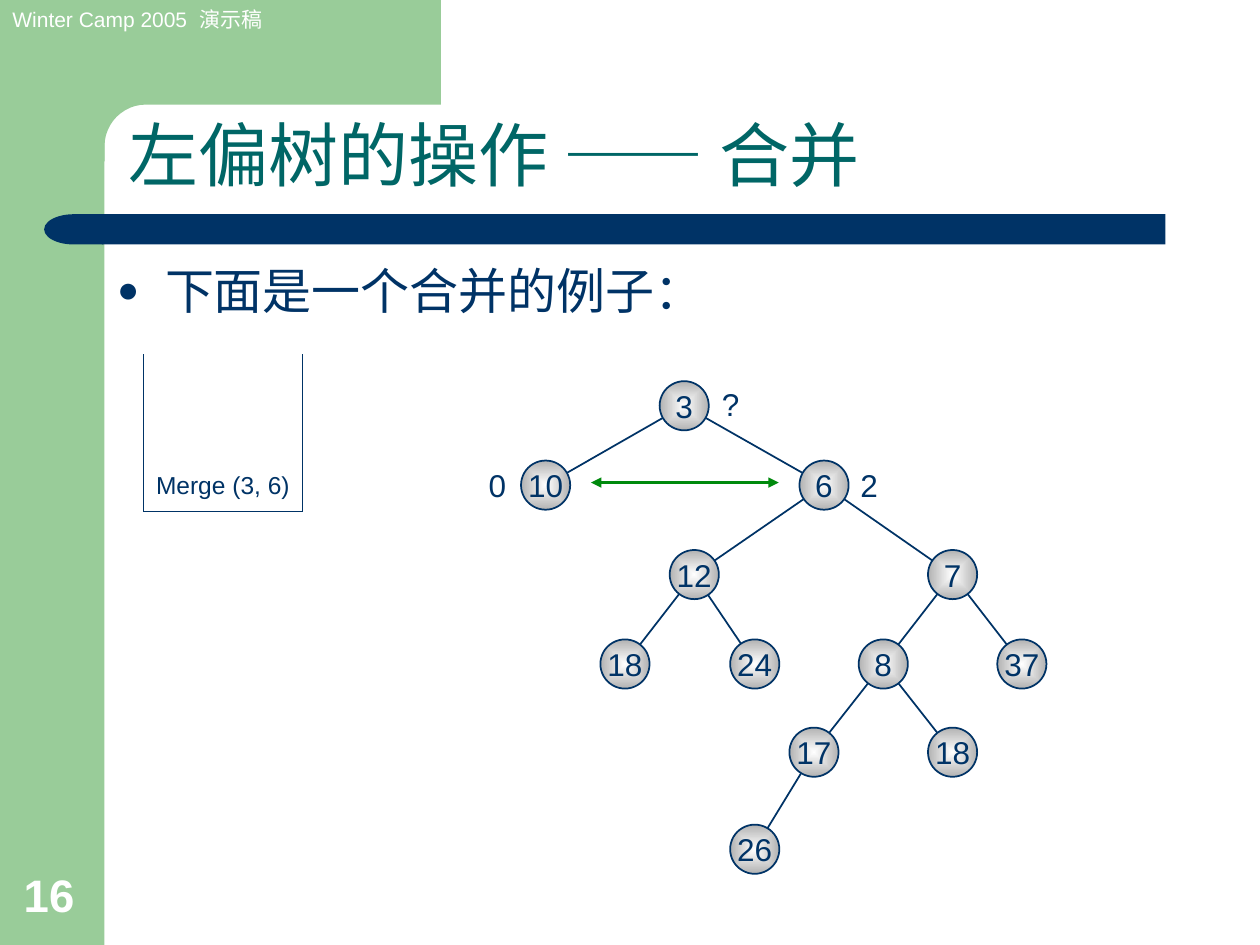
"""Builds the slide that shows a leftist tree merge example."""
from math import cos, pi, sin

from lxml import etree
from pptx import Presentation
from pptx.dml.color import RGBColor
from pptx.enum.shapes import MSO_CONNECTOR, MSO_SHAPE
from pptx.enum.text import MSO_ANCHOR, MSO_AUTO_SIZE, PP_ALIGN
from pptx.oxml import parse_xml
from pptx.oxml.ns import nsdecls, qn
from pptx.util import Inches, Pt

STRAIGHT = MSO_CONNECTOR.STRAIGHT
RECTANGLE, DELAY, OVAL = MSO_SHAPE.RECTANGLE, MSO_SHAPE.FLOWCHART_DELAY, MSO_SHAPE.OVAL
TOP, MIDDLE, BOTTOM = MSO_ANCHOR.TOP, MSO_ANCHOR.MIDDLE, MSO_ANCHOR.BOTTOM
LEFT, CENTER = PP_ALIGN.LEFT, PP_ALIGN.CENTER
NO_FIT = MSO_AUTO_SIZE.NONE

LATIN, CHINESE = "Arial", "Noto Sans CJK SC"
NAVY, TEAL, MINT, GREEN, WHITE, GREY = "003366", "006666", "99CC99", "008A0D", "FFFFFF", "B2B2B2"

TITLE = [("左偏树的操作 ", LATIN), ("——", CHINESE), (" 合并", LATIN)]
BULLET = "下面是一个合并的例子："

LEVELS = [3.22, 3.85, 4.56, 5.27, 5.97, 6.74]
NODES = {
    "root": ("3", 5.43, 0, None),
    "left": ("10", 4.33, 1, "root"),
    "right": ("6", 6.54, 1, "root"),
    "right-left": ("12", 5.51, 2, "right"),
    "right-right": ("7", 7.56, 2, "right"),
    "leaf 18": ("18", 4.96, 3, "right-left"),
    "leaf 24": ("24", 5.99, 3, "right-left"),
    "inner 8": ("8", 7.01, 3, "right-right"),
    "leaf 37": ("37", 8.11, 3, "right-right"),
    "inner 17": ("17", 6.46, 4, "inner 8"),
    "second 18": ("18", 7.56, 4, "inner 8"),
    "leaf 26": ("26", 5.99, 5, "inner 17"),
}
DIAMETER = 0.39

LABELS = [
    ("Winter Camp 2005  演示稿", (0, 0, 2.28, 0.3), 12, WHITE, False, LEFT, TOP),
    ("16", (0.09, 6.83, 0.64, 0.53), 26, WHITE, True, LEFT, BOTTOM),
    ("Merge (3, 6)", (1.14, 2.97, 1.26, 1.04), 14, NAVY, False, LEFT, BOTTOM),
    ("0", (3.78, 3.65, 0.32, 0.4), 18, NAVY, False, CENTER, TOP),
    ("2", (6.73, 3.65, 0.32, 0.4), 18, NAVY, False, CENTER, TOP),
    ("?", (5.63, 3.01, 0.31, 0.4), 18, NAVY, False, LEFT, TOP),
]
STACK = [(1.14, 2.81), (1.14, 4.06), (2.4, 4.06), (2.4, 2.81)]


def color(value):
    return RGBColor.from_string(value)


def inches(values):
    return [Inches(value) for value in values]


def style_font(font, size, value, bold=False):
    font.name, font.size, font.bold = LATIN, Pt(size), bold
    font.color.rgb = color(value)


def add_span(para, text, latin=LATIN):
    span = para.add_run()
    span.text = text
    span.font.name = latin
    etree.SubElement(span.font._element, qn("a:ea"), typeface=CHINESE)


def paint(shape, value):
    shape.shadow.inherit = False
    shape.fill.solid()
    shape.fill.fore_color.rgb = color(value)
    shape.line.fill.background()


def add_block(page, kind, place, value):
    shape = page.shapes.add_shape(kind, *inches(place))
    paint(shape, value)
    return shape


def add_corner(page):
    radius, center = 0.33, 1.16
    arc = [(center - radius * sin(step * pi / 24), center - radius * cos(step * pi / 24))
           for step in range(13)]
    outline = [(3.5, 0), (3.5, 0.83), *arc, (0.83, 1.28), (0.5, 1.28), (0.5, 0)]
    points = [tuple(inches(point)) for point in outline]
    builder = page.shapes.build_freeform(*points[0], scale=1.0)
    builder.add_line_segments(points[1:], close=True)
    paint(builder.convert_to_shape(), MINT)


def add_line(page, start, end, value, width):
    line = page.shapes.add_connector(STRAIGHT, *inches(start + end))
    line.line.color.rgb = color(value)
    line.line.width = Pt(width)
    etree.SubElement(line._element.spPr, qn("a:effectLst"))
    return line


def add_label(page, text, place, size, value, bold, align, anchor):
    frame = page.shapes.add_textbox(*inches(place)).text_frame
    frame.word_wrap = True
    frame.vertical_anchor = anchor
    para = frame.paragraphs[0]
    para.alignment = align
    add_span(para, text)
    style_font(para.font, size, value, bold)


def add_node(page, text, x, y):
    corner = (x - DIAMETER / 2, y - DIAMETER / 2)
    node = add_block(page, OVAL, corner + (DIAMETER, DIAMETER), WHITE)
    node.line.color.rgb = color(NAVY)
    node.line.width = Pt(1)
    properties = node._element.spPr
    gradient = parse_xml(
        f'<a:gradFill {nsdecls("a")} rotWithShape="1"><a:gsLst>'
        f'<a:gs pos="0"><a:srgbClr val="{WHITE}"/></a:gs>'
        f'<a:gs pos="100000"><a:srgbClr val="{GREY}"/></a:gs></a:gsLst>'
        '<a:path path="rect"><a:fillToRect l="50000" t="50000" r="50000" b="50000"/>'
        '</a:path></a:gradFill>')
    properties.replace(properties.find(qn("a:solidFill")), gradient)
    frame = node.text_frame
    frame.word_wrap = False
    frame.vertical_anchor = MIDDLE
    para = frame.paragraphs[0]
    para.alignment = CENTER
    para.text = text
    style_font(para.font, 18, NAVY)


def place_placeholder(shape, place, anchor):
    shape.left, shape.top, shape.width, shape.height = inches(place)
    frame = shape.text_frame
    frame.auto_size = NO_FIT
    frame.vertical_anchor = anchor
    para = frame.paragraphs[0]
    para.alignment = LEFT
    return para


def fill_placeholders(page):
    heading = place_placeholder(page.shapes.title, (0.92, 0.93, 8.32, 0.68), BOTTOM)
    heading.line_spacing = 0.9
    for text, latin in TITLE:
        add_span(heading, text, latin)
    style_font(heading.font, 40, TEAL)

    item = place_placeholder(page.placeholders[1], (0.83, 2.02, 8.43, 4.88), TOP)
    item.space_before = Pt(7)
    add_span(item, BULLET)
    style_font(item.font, 28, NAVY)
    properties = item._element.get_or_add_pPr()
    properties.set("marL", str(Inches(0.38)))
    properties.set("indent", str(Inches(-0.38)))
    bullet = [etree.Element(qn("a:buClr")), etree.Element(qn("a:buSzPct"), val="75000"),
              etree.Element(qn("a:buChar"), char="●")]
    etree.SubElement(bullet[0], qn("a:srgbClr"), val=NAVY)
    for position, part in enumerate(bullet, 1):
        properties.insert(position, part)


def add_tree(page):
    centers = {name: (x, LEVELS[level]) for name, (_, x, level, _) in NODES.items()}
    for name, (_, _, _, parent) in NODES.items():
        if parent:
            add_line(page, centers[parent], centers[name], NAVY, 1)
    for name, (text, _, _, _) in NODES.items():
        add_node(page, text, *centers[name])


def build():
    deck = Presentation()
    deck.slide_width, deck.slide_height = Inches(10), Inches(7.5)
    page = deck.slides.add_slide(deck.slide_layouts[1])
    add_block(page, RECTANGLE, (0, 0, 0.83, 7.5), MINT)
    add_corner(page)
    add_block(page, RECTANGLE, (0.81, 1.7, 8.44, 0.24), NAVY)
    add_block(page, DELAY, (0.35, 1.7, 0.47, 0.24), NAVY).rotation = 180
    fill_placeholders(page)
    for label in LABELS:
        add_label(page, *label)
    for start, end in zip(STACK, STACK[1:]):
        add_line(page, start, end, NAVY, 0.75)
    add_tree(page)
    arrow = add_line(page, (4.69, 3.83), (6.18, 3.83), GREEN, 1.5)
    for end in ("a:headEnd", "a:tailEnd"):
        etree.SubElement(arrow.line._get_or_add_ln(), qn(end), type="triangle")
    deck.save("out.pptx")


build()
